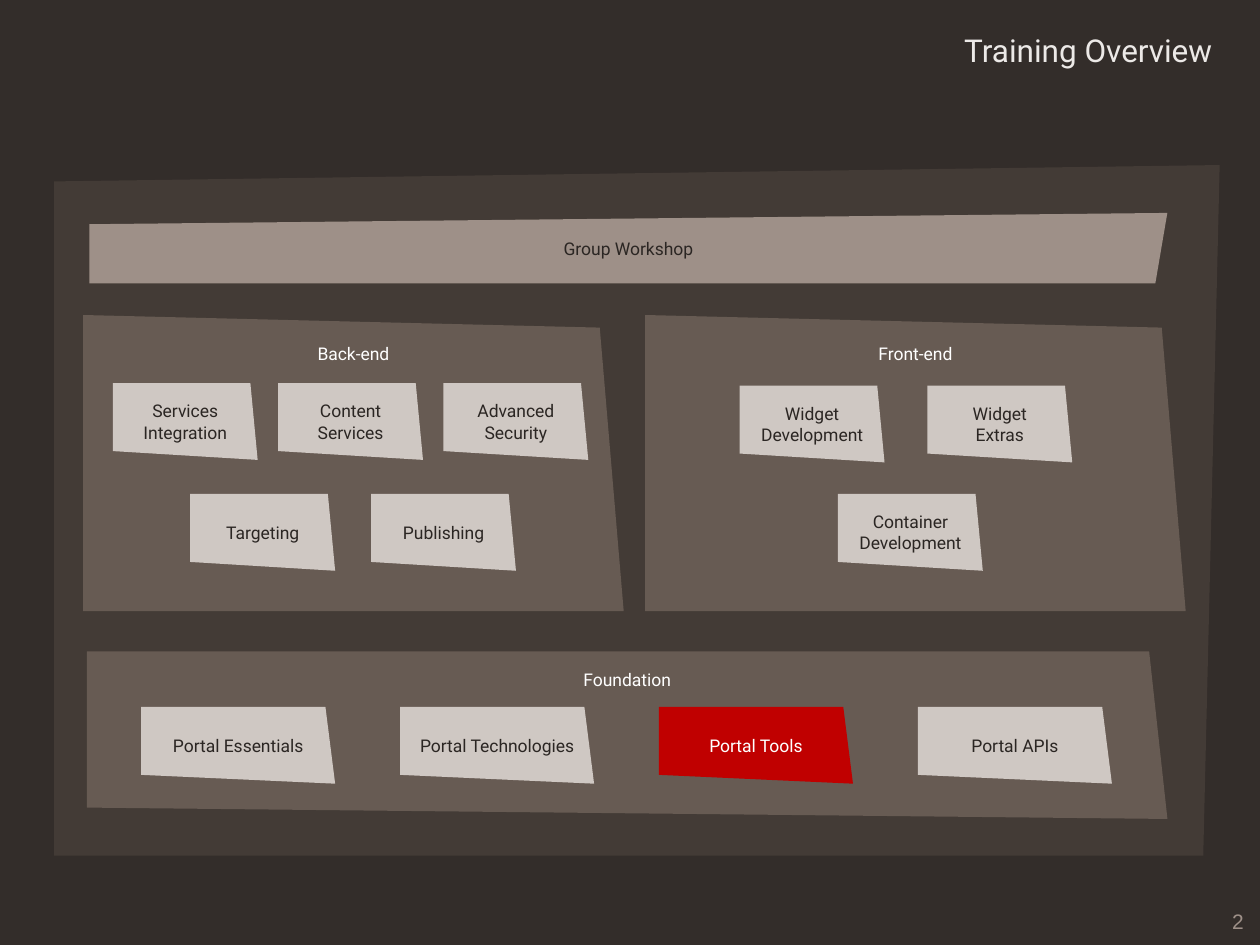
from pptx import Presentation
from pptx.dml.color import RGBColor
from pptx.enum.text import MSO_ANCHOR, PP_ALIGN
from pptx.util import Inches, Pt

CENTER, RIGHT = PP_ALIGN.CENTER, PP_ALIGN.RIGHT
TOP, MIDDLE = MSO_ANCHOR.TOP, MSO_ANCHOR.MIDDLE

# Grid of 100 columns by 75 rows
COL = ROW = Inches(0.1)
DARK, WHITE, RED = "2B2623", "FFFFFF", "C00000"
FRAME, PANEL, BAR, TILE = "433B36", "675B53", "9E9088", "CFC8C3"

prs = Presentation()
prs.slide_width, prs.slide_height = 100 * COL, 75 * ROW
s = prs.slides.add_slide(prs.slide_layouts[6])
s.background.fill.solid()
s.background.fill.fore_color.rgb = RGBColor.from_string("332D2A")


def write(sp, text, color, size=10, font="Roboto", align=CENTER, anchor=MIDDLE):
    tf = sp.text_frame
    tf.text = text
    tf.vertical_anchor = anchor
    for p in tf.paragraphs:
        p.alignment = align
        p.font.size, p.font.name = Pt(size), font
        p.font.color.rgb = RGBColor.from_string(color)
    return tf


def polygon(points, fill):
    points = [(x * COL, y * ROW) for x, y in points]
    fb = s.shapes.build_freeform(*points[0])
    fb.add_line_segments(points[1:], close=True)
    sp = fb.convert_to_shape()
    sp.shadow.inherit = False
    sp.fill.solid()
    sp.fill.fore_color.rgb = RGBColor.from_string(fill)
    sp.line.fill.background()
    return sp


# Title and slide number
for x, y, w, h, text, color, size, font, anchor in [
    (28.7, 2, 68.5, 4, "Training Overview", "ECE9E7", 18, "Roboto", TOP),
    (81.4, 71.7, 18.3, 2.8, "2", BAR, 12, "Arial", MIDDLE),
]:
    sp = s.shapes.add_textbox(x * COL, y * ROW, w * COL, h * ROW)
    tf = write(sp, text, color, size, font, RIGHT, anchor)
    tf.word_wrap = True

# Outer frame and workshop bar
polygon([(4.3, 14.4), (96.8, 13.1), (95.5, 67.9), (4.3, 67.9)], FRAME)
bar = polygon([(7.1, 17.8), (92.65, 16.9), (91.7, 22.5), (7.1, 22.5)], BAR)
write(bar, "Group Workshop", DARK)

# Panels with a heading at the top
panels = [("Foundation", 1.4, [(6.9, 51.7), (91.2, 51.7), (92.65, 65), (6.9, 64.1)])]
for heading, x in [("Back-end", 6.6), ("Front-end", 51.2)]:
    corners = [(x, 25), (x + 41, 26), (x + 42.9, 48.5), (x, 48.5)]
    panels.append((heading, 2.2, corners))
for heading, inset, corners in panels:
    tf = write(polygon(corners, PANEL), heading, WHITE, anchor=TOP)
    tf.margin_top = int(inset * ROW)

# Rows of course tiles: left, top, step, tile width, labels
rows = [
    (8.95, 30.4, 13.12, 11.5, ["Services\nIntegration", "Content\nServices", "Advanced\nSecurity"]),
    (15.1, 39.2, 14.35, 11.5, ["Targeting", "Publishing"]),
    (58.7, 30.6, 14.9, 11.5, ["Widget\vDevelopment", "Widget\nExtras"]),
    (66.5, 39.2, 0, 11.5, ["Container\nDevelopment"]),
    (11.2, 56.1, 20.55, 15.4,
     ["Portal Essentials", "Portal Technologies", "Portal Tools", "Portal APIs"]),
]
for left, y, step, w, labels in rows:
    for i, label in enumerate(labels):
        x = left + i * step
        current = label == "Portal Tools"
        sp = polygon([(x, y), (x + 0.95 * w, y), (x + w, y + 6.1), (x, y + 5.4)],
                     RED if current else TILE)
        tf = write(sp, label, WHITE if current else DARK)
        tf.word_wrap = False

prs.save("out.pptx")
